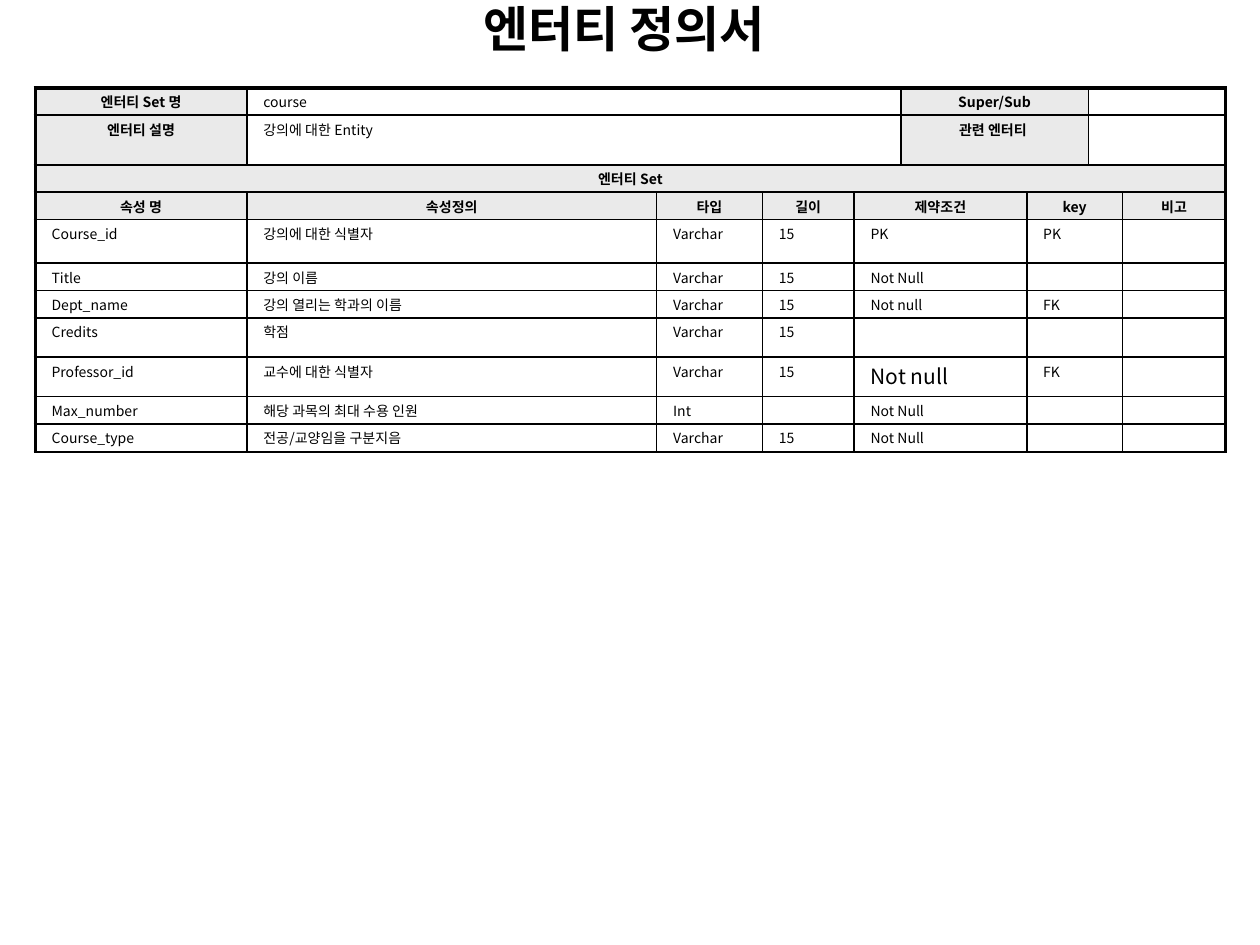
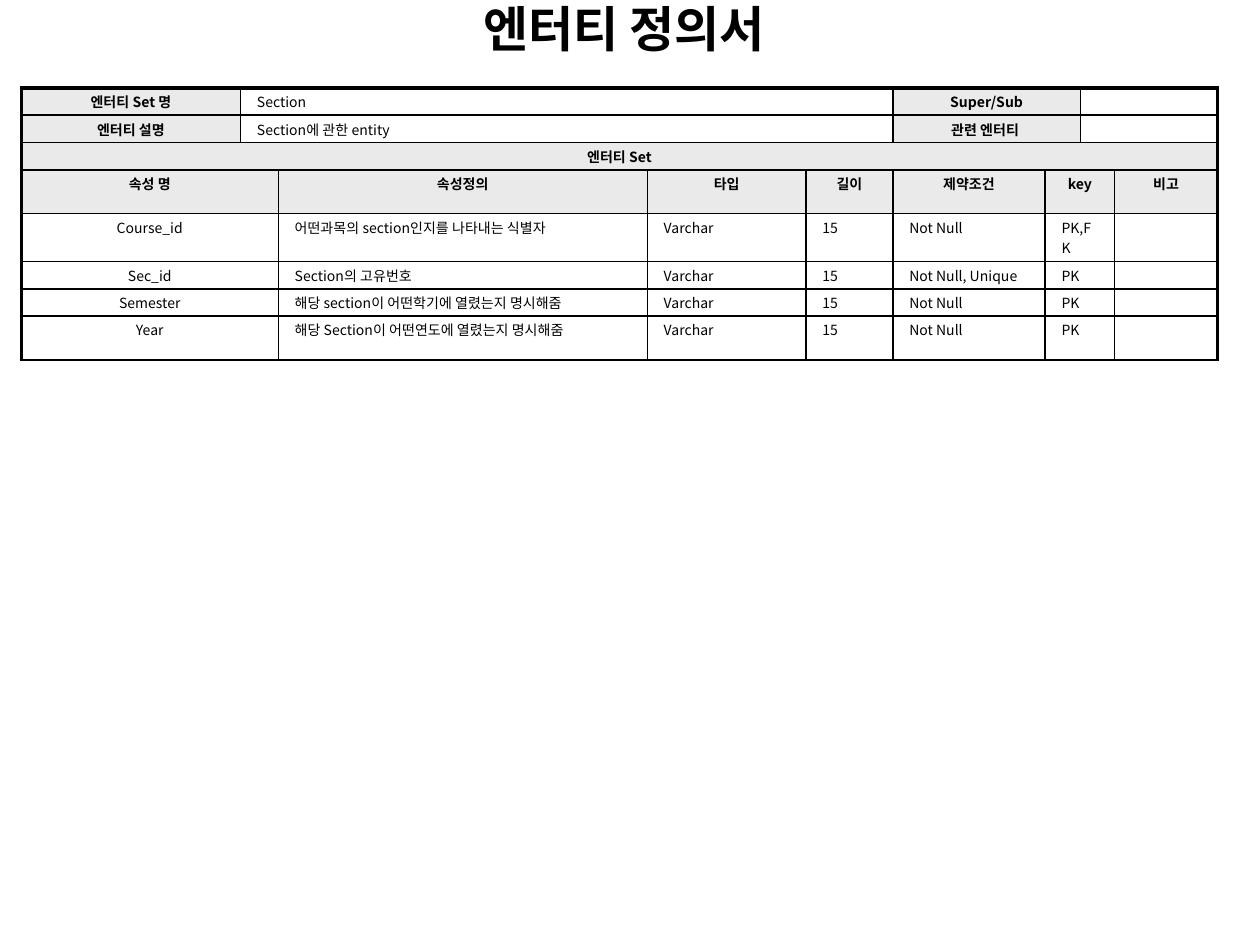
from lxml.etree import SubElement
from pptx import Presentation
from pptx.dml.color import RGBColor
from pptx.enum.text import MSO_ANCHOR as Anchor, MSO_AUTO_SIZE as AutoSize, PP_ALIGN as Align
from pptx.oxml.ns import qn
from pptx.util import Cm, Pt

BLACK, SHADE = "000000", "EAEAEA"
TITLE_FONT, CELL_FONT = "Arial", "Noto Sans CJK KR"
THIN, THICK = 1, 2.25
CELL_FORMAT = {"margin_left": Cm(0.33), "margin_right": Cm(0.33),
               "margin_top": Cm(0.07), "margin_bottom": Cm(0.07),
               "vertical_anchor": Anchor.TOP}
TITLE_PLACE = {"left": Cm(0), "top": Cm(0.02), "width": Cm(25.4), "height": Cm(1.07)}
TITLE_FRAME = {"vertical_anchor": Anchor.MIDDLE, "word_wrap": True, "auto_size": AutoSize.NONE,
               "margin_top": Cm(0), "margin_bottom": Cm(0)}
TOP_SPANS = [1, 4, 2, 2]
HEADINGS = ["속성 명", "속성정의", "타입", "길이", "제약조건", "key", "비고"]

ENTITIES = [
    {
        "name": "course", "about": "강의에 대한 Entity", "left": 0.71,
        "widths": [4.27, 8.26, 2.13, 1.85, 0.94, 2.54, 1.24, 0.69, 2.08],
        "heights": [0.53, 1, 0.53, 0.53, 0.88, 0.53, 0.53, 0.79, 0.79, 0.56, 0.56],
        "spans": [1, 1, 1, 1, 2, 2, 1],
        "first_align": Align.LEFT, "large_cells": [(8, 4)],
        "attributes": [
            ["Course_id", "강의에 대한 식별자", "Varchar", "15", "PK", "PK", ""],
            ["Title", "강의 이름", "Varchar", "15", "Not Null", "", ""],
            ["Dept_name", "강의 열리는 학과의 이름", "Varchar", "15", "Not null", "FK", ""],
            ["Credits", "학점", "Varchar", "15", "", "", ""],
            ["Professor_id", "교수에 대한 식별자", "Varchar", "15", "Not null", "FK", ""],
            ["Max_number", "해당 과목의 최대 수용 인원", "Int", "", "Not Null", "", ""],
            ["Course_type", "전공/교양임을 구분지음", "Varchar", "15", "Not Null", "", ""],
        ],
    },
    {
        "name": "Section", "about": "Section에 관한 entity", "left": 0.43,
        "widths": [4.42, 0.69, 7.44, 3.2, 1.75, 3.07, 0.71, 0.69, 2.08],
        "heights": [0.53, 0.53, 0.53, 0.88, 0.53, 0.53, 0.53, 0.88],
        "spans": [2, 1, 1, 1, 1, 2, 1],
        "first_align": Align.CENTER, "large_cells": [],
        "attributes": [
            ["Course_id", "어떤과목의 section인지를 나타내는 식별자", "Varchar", "15", "Not Null", "PK,FK", ""],
            ["Sec_id", "Section의 고유번호", "Varchar", "15", "Not Null, Unique", "PK", ""],
            ["Semester", "해당 section이 어떤학기에 열렸는지 명시해줌", "Varchar", "15", "Not Null", "PK", ""],
            ["Year", "해당 Section이 어떤연도에 열렸는지 명시해줌", "Varchar", "15", "Not Null", "PK", ""],
        ],
    },
]


def color(value):
    return RGBColor.from_string(value)


def draw_border(cell, side, width):
    line = SubElement(cell._tc.get_or_add_tcPr(), qn(f"a:ln{side}"), w=str(Pt(width)))
    fill = SubElement(line, qn("a:solidFill"))
    SubElement(fill, qn("a:srgbClr"), val=BLACK)


deck = Presentation()
deck.slide_width, deck.slide_height = Cm(25.4), Cm(19.05)

for entity in ENTITIES:
    page = deck.slides.add_slide(deck.slide_layouts[5])
    title = page.shapes.title
    for key, value in TITLE_PLACE.items():
        setattr(title, key, value)
    for key, value in TITLE_FRAME.items():
        setattr(title.text_frame, key, value)
    para = title.text_frame.paragraphs[0]
    para.alignment = Align.CENTER
    span = para.add_run()
    span.text = "엔터티 정의서 "
    for key, value in {"name": TITLE_FONT, "size": Pt(28), "bold": True}.items():
        setattr(span.font, key, value)
    span.font.color.rgb = color(BLACK)

    rows = [["엔터티 Set 명", entity["name"], "Super/Sub", ""],
            ["엔터티 설명", entity["about"], "관련 엔터티 ", ""],
            ["엔터티 Set"], HEADINGS, *entity["attributes"]]
    widths, heights = entity["widths"], entity["heights"]
    last_column = len(widths) - 1
    frame = page.shapes.add_table(len(rows), len(widths), Cm(entity["left"]), Cm(1.77),
                                  Cm(sum(widths)), Cm(sum(heights)))
    table = frame.table
    table.first_row = table.horz_banding = False
    for column, width in zip(table.columns, widths):
        column.width = Cm(width)
    for row, height in zip(table.rows, heights):
        row.height = Cm(height)

    spans_by_count = {4: TOP_SPANS, 1: [len(widths)], 7: entity["spans"]}
    for row_index, texts in enumerate(rows):
        start = 0
        for item_index, (text, count) in enumerate(zip(texts, spans_by_count[len(texts)])):
            end = start + count - 1
            cell = table.cell(row_index, start)
            if count > 1:
                cell.merge(table.cell(row_index, end))
            shaded = row_index in (2, 3) or (row_index < 2 and item_index in (0, 2))
            for column_index in range(start, end + 1):
                part = table.cell(row_index, column_index)
                if column_index == start:
                    draw_border(part, "L", THICK if start == 0 else THIN)
                if column_index in (start, end):
                    draw_border(part, "R", THICK if end == last_column else THIN)
                draw_border(part, "T", THICK if row_index == 0 else THIN)
                draw_border(part, "B", THIN)
                if shaded:
                    part.fill.solid()
                    part.fill.fore_color.rgb = color(SHADE)
                else:
                    part.fill.background()
                for key, value in CELL_FORMAT.items():
                    setattr(part, key, value)
                if column_index > start or not text:
                    SubElement(part.text_frame.paragraphs[0]._p, qn("a:endParaRPr"), sz="800")

            if text:
                large = (row_index, item_index) in entity["large_cells"]
                para = cell.text_frame.paragraphs[0]
                para.space_before = Pt(0 if large else 1)
                para.alignment = Align.CENTER if shaded else Align.LEFT
                if row_index > 3 and item_index == 0:
                    para.alignment = entity["first_align"]
                span = para.add_run()
                span.text = text
                cell_font = {"name": CELL_FONT, "size": Pt(12 if large else 8), "bold": shaded}
                for key, value in cell_font.items():
                    setattr(span.font, key, value)
                span.font.color.rgb = color(BLACK)
                SubElement(span.font._element, qn("a:ea"), typeface=CELL_FONT)
            start = end + 1

deck.save("out.pptx")
